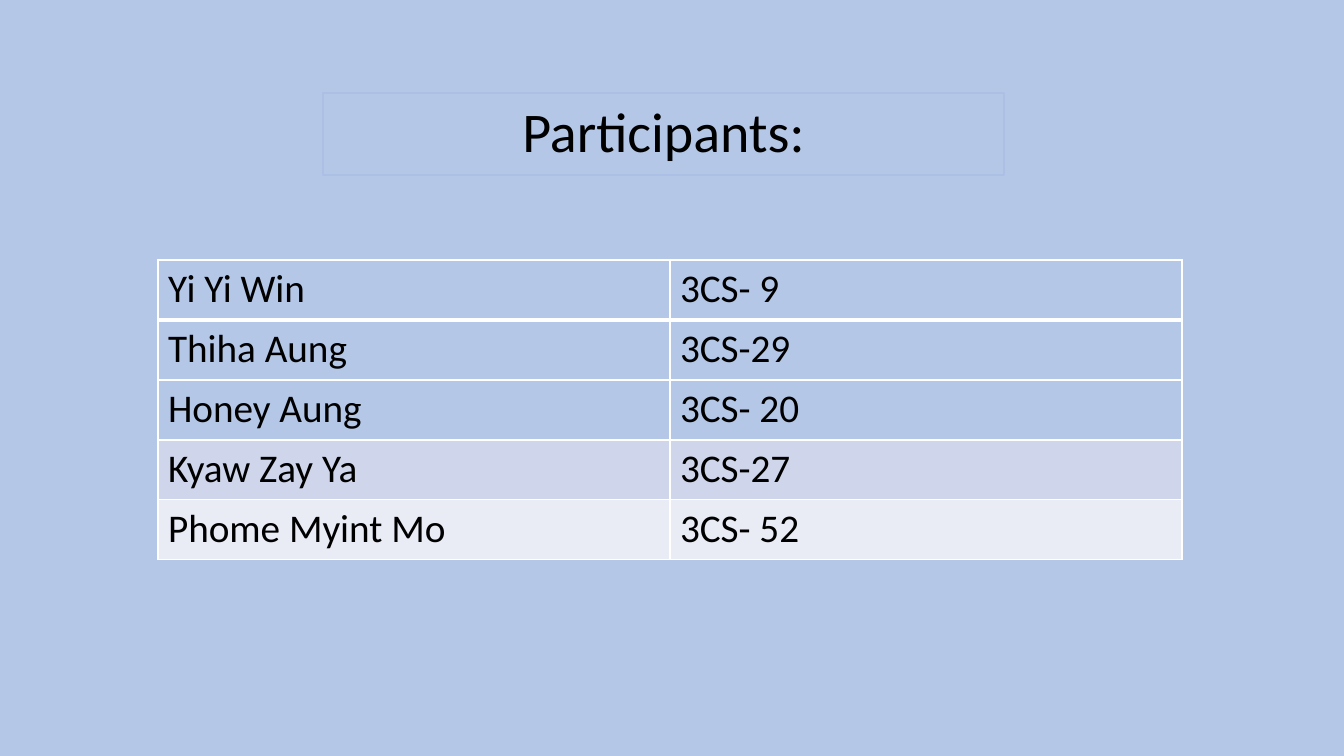
from lxml.etree import SubElement
from pptx import Presentation
from pptx.dml.color import RGBColor as RGB
from pptx.enum.text import MSO_ANCHOR as Anchor, MSO_AUTO_SIZE as Fit, PP_ALIGN as Align
from pptx.oxml.ns import qn
from pptx.util import Pt

SKY = RGB(0xB4, 0xC7, 0xE7)
EDGE = RGB(0xAB, 0xC0, 0xE4)
LILAC = RGB(0xCF, 0xD5, 0xEA)
PALE = RGB(0xE9, 0xEB, 0xF5)
WHITE = RGB(0xFF, 0xFF, 0xFF)
BLACK = RGB(0, 0, 0)

TITLE = "Participants:"
PEOPLE = [
    ("Yi Yi Win", "3CS- 9", SKY),
    ("Thiha Aung", "3CS-29", SKY),
    ("Honey Aung", "3CS- 20", SKY),
    ("Kyaw Zay Ya", "3CS-27", LILAC),
    ("Phome Myint Mo", "3CS- 52", PALE),
]
WIDE, HIGH = 1344, 756
TITLE_BOX = (323, 93, 681, 82)
LEFT, TOP, COL, ROW = 158, 260, 512, 60
THIN, THICK = 1, 3


def px(n):
    return round(n * 12192000 / WIDE)


def write(frame, text, size, align=Align.LEFT, space=1.0):
    para = frame.paragraphs[0]
    para.alignment = align
    para.line_spacing = space
    run = para.add_run()
    run.text = text
    run.font.size = Pt(size)
    run.font.name = "Calibri"
    run.font.color.rgb = BLACK


def border(cell, top, bottom):
    props = cell._tc.get_or_add_tcPr()
    for side, width in (("L", THIN), ("R", THIN), ("T", top), ("B", bottom)):
        line = SubElement(props, qn("a:ln" + side), w=str(Pt(width)))
        fill = SubElement(line, qn("a:solidFill"))
        SubElement(fill, qn("a:srgbClr"), val=str(WHITE))


def add_title(slide):
    title = slide.shapes.title
    title.left, title.top, title.width, title.height = map(px, TITLE_BOX)
    title.fill.solid()
    title.fill.fore_color.rgb = SKY
    title.line.color.rgb = EDGE
    title.line.width = Pt(1.25)
    frame = title.text_frame
    frame.word_wrap = True
    frame.auto_size = Fit.NONE
    frame.vertical_anchor = Anchor.MIDDLE
    write(frame, TITLE, 40, align=Align.CENTER, space=0.9)


def add_people(slide):
    count = len(PEOPLE)
    box = (LEFT, TOP, 2 * COL, count * ROW)
    table = slide.shapes.add_table(count, 2, *map(px, box)).table
    for col in table.columns:
        col.width = px(COL)
    for r, (name, roll, shade) in enumerate(PEOPLE):
        table.rows[r].height = px(ROW)
        for c, text in enumerate((name, roll)):
            cell = table.cell(r, c)
            border(cell, THICK if r == 1 else THIN, THICK if r == 0 else THIN)
            cell.fill.solid()
            cell.fill.fore_color.rgb = shade
            write(cell.text_frame, text, 28)


def main():
    deck = Presentation()
    deck.slide_width, deck.slide_height = px(WIDE), px(HIGH)
    slide = deck.slides.add_slide(deck.slide_layouts[5])
    slide.background.fill.solid()
    slide.background.fill.fore_color.rgb = SKY
    add_title(slide)
    add_people(slide)
    deck.save("out.pptx")


if __name__ == "__main__":
    main()
